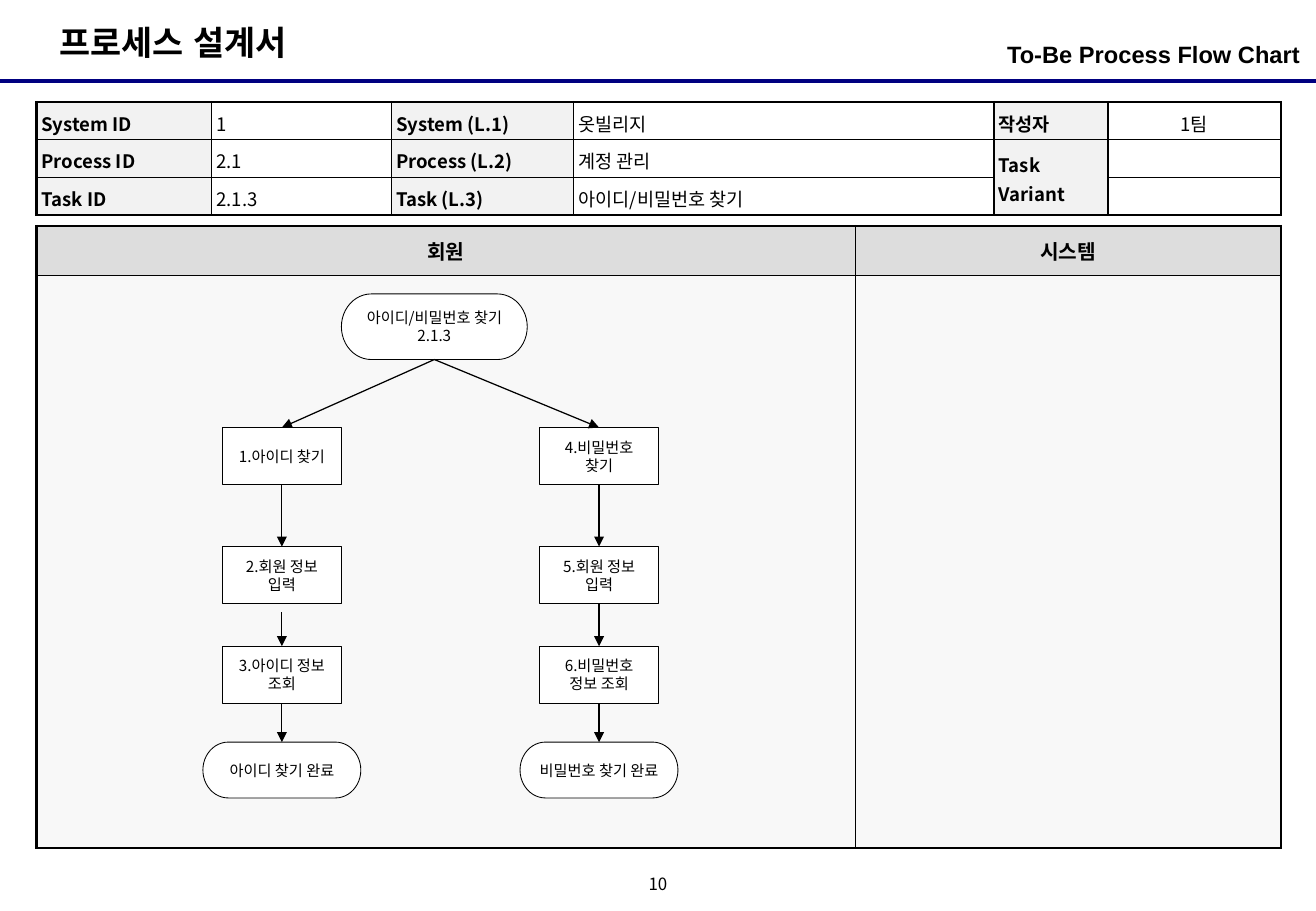
from lxml.etree import SubElement
from pptx import Presentation
from pptx.dml.color import RGBColor
from pptx.enum.shapes import MSO_CONNECTOR, MSO_SHAPE
from pptx.enum.text import MSO_ANCHOR, PP_ALIGN
from pptx.oxml.ns import qn
from pptx.util import Inches, Pt

COLORS = {
    "ink": "000000", "rule": "000080", "paper": "FFFFFF",
    "label": "F2F2F2", "head": "DDDDDD", "lane": "F8F8F8",
}
NOTO = "Noto Sans CJK KR"
LEFT, CENTER, RIGHT = PP_ALIGN.LEFT, PP_ALIGN.CENTER, PP_ALIGN.RIGHT
TOP, MIDDLE = MSO_ANCHOR.TOP, MSO_ANCHOR.MIDDLE


def color(name):
    return RGBColor.from_string(COLORS[name])


class Sheet:
    """Holds the style and the current slide."""

    def __init__(self, slide):
        self.slide = slide
        self.shapes = slide.shapes

    def label(self, frame, text, size, font=NOTO, bold=False, align=LEFT, space=None):
        frame.text = text
        for para in frame.paragraphs:
            para.alignment = align
            if space:
                para.line_spacing = space
            for run in para.runs:
                run.font.size, run.font.bold, run.font.name = Pt(size), bold, font
                run.font.color.rgb = color("ink")
                SubElement(run.font._element, qn("a:ea"), typeface=font)
            if not para.runs:
                SubElement(para._p, qn("a:endParaRPr"), sz=str(size * 100))

    def inset(self, item, side, top):
        item.margin_left = item.margin_right = Inches(side)
        item.margin_top = item.margin_bottom = Inches(top)

    def text(self, box, text, size, pad=(0.1, 0.05), anchor=TOP, wrap=True, **style):
        frame = self.shapes.add_textbox(*map(Inches, box)).text_frame
        frame.word_wrap = wrap
        frame.vertical_anchor = anchor
        self.inset(frame, *pad)
        self.label(frame, text, size, **style)

    def node(self, kind, mid, top, wide, high, text, pad):
        node = self.shapes.add_shape(
            kind, Inches(mid - wide / 2), Inches(top), Inches(wide), Inches(high))
        node.shadow.inherit = False
        node.fill.solid()
        node.fill.fore_color.rgb = color("paper")
        node.line.color.rgb = color("ink")
        node.line.width = Pt(0.5)
        frame = node.text_frame
        frame.word_wrap = True
        frame.vertical_anchor = MIDDLE
        self.inset(frame, *pad)
        self.label(frame, text, 9, align=CENTER)
        return node

    def step(self, mid, top, text):
        return self.node(MSO_SHAPE.RECTANGLE, mid, top, 0.98, 0.47, text, (0.1, 0.05))

    def end(self, mid, top, wide, high, text):
        return self.node(MSO_SHAPE.FLOWCHART_TERMINATOR, mid, top, wide, high, text, (0.1, 0.1))

    def line(self, start, stop, tint="ink", width=0.75):
        line = self.shapes.add_connector(
            MSO_CONNECTOR.STRAIGHT, *map(Inches, (*start, *stop)))
        line.line.color.rgb = color(tint)
        line.line.width = Pt(width)
        SubElement(line._element.spPr, qn("a:effectLst"))
        return line

    def arrow(self, first, last, start=None):
        """Joins bottom to top; a given start point leaves the tail free."""
        line = self.line(start or (0, 0), (0, 0))
        if not start:
            line.begin_connect(first, 2)
        line.end_connect(last, 0)
        SubElement(line._element.spPr.find(qn("a:ln")), qn("a:tailEnd"), type="triangle")

    def border(self, cell, sides):
        props = cell._tc.get_or_add_tcPr()
        for tag, width in sides.items():
            edge = SubElement(props, qn("a:" + tag), w=str(Pt(width)))
            fill = SubElement(edge, qn("a:solidFill"))
            SubElement(fill, qn("a:srgbClr"), val=COLORS["ink"])

    def table(self, left, top, cols, rows):
        wide, high = sum(cols), sum(rows)
        table = self.shapes.add_table(
            len(rows), len(cols), Inches(left), Inches(top), Inches(wide), Inches(high)).table
        table.first_row = table.horz_banding = False
        for col, size in zip(table.columns, cols):
            col.width = Inches(size)
        for row, size in zip(table.rows, rows):
            row.height = Inches(size)
        return table

    def cell(self, table, row, col, text, size, tint=None, inner=1.0, pad=(0.04, 0.04),
             anchor=MIDDLE, **style):
        cell = table.cell(row, col)
        low = row + (cell.span_height if cell.is_merge_origin else 1)
        outer = {
            "lnL": col == 0, "lnR": col == len(table.columns) - 1,
            "lnT": row == 0, "lnB": low == len(table.rows),
        }
        self.border(cell, {tag: 1.5 if out else inner for tag, out in outer.items()})
        if tint:
            cell.fill.solid()
            cell.fill.fore_color.rgb = color(tint)
        else:
            cell.fill.background()
        cell.vertical_anchor = anchor
        self.inset(cell, *pad)
        self.label(cell.text_frame, text, size, **style)


def main():
    deck = Presentation()
    deck.slide_width, deck.slide_height = Inches(10.83), Inches(7.5)
    sheet = Sheet(deck.slides.add_slide(deck.slide_layouts[6]))

    # Header and page number
    sheet.line((0, 0.67), (10.83, 0.67), "rule", 2.25)
    sheet.text((0.39, 0.13, 2.26, 0.44), "프로세스 설계서", 20, wrap=False, font="Arial", bold=True)
    sheet.text((7.39, 0.28, 3.31, 0.39), "To-Be Process Flow Chart", 14,
               pad=(0, 0.05), font="Arial", bold=True, align=RIGHT)
    sheet.text((5.25, 7.17, 0.33, 0.25), "10", 10, pad=(0, 0), anchor=MIDDLE,
               align=CENTER, space=0.8)

    # Swimlanes
    lanes = sheet.table(0.3, 1.86, [6.74, 3.5], [0.41, 4.71])
    for col, name in enumerate(["회원", "시스템"]):
        sheet.cell(lanes, 0, col, name, 12, "head", 0.75, (0.1, 0.05), bold=True, align=CENTER)
        sheet.cell(lanes, 1, col, "", 12, "lane", 0.75, (0.1, 0.05))

    # Process details
    facts = [
        ["System ID", "1", "System (L.1)", "옷빌리지", "작성자", "1팀"],
        ["Process ID", "2.1", "Process (L.2)", "계정 관리", "Task Variant", ""],
        ["Task ID", "2.1.3", "Task (L.3)", "아이디/비밀번호 찾기", "", ""],
    ]
    info = sheet.table(0.3, 0.84, [1.44, 1.48, 1.5, 3.46, 0.94, 1.42], [0.31] * 3)
    info.cell(1, 4).merge(info.cell(2, 4))
    for row, texts in enumerate(facts):
        for col, text in enumerate(texts):
            head = col % 2 == 0
            sheet.cell(info, row, col, text, 11, "label" if head else None,
                       anchor=MIDDLE if col > 3 else TOP, bold=head,
                       align=CENTER if col == 5 else LEFT, space=1.1)

    # Flow: one start, two branches
    start = sheet.end(3.575, 2.42, 1.53, 0.54, "아이디/비밀번호 찾기\v2.1.3")
    flows = [
        (2.32, ["1.아이디 찾기", "2.회원 정보 입력", "3.아이디 정보 조회"], "아이디 찾기 완료", (2.32, 5.04)),
        (4.93, ["4.비밀번호 찾기", "5.회원 정보 입력", "6.비밀번호 정보 조회"], "비밀번호 찾기 완료", None),
    ]
    for mid, steps, done, gap in flows:
        chain = [start]
        chain += [sheet.step(mid, top, text) for top, text in zip([3.52, 4.5, 5.32], steps)]
        chain.append(sheet.end(mid, 6.11, 1.3, 0.46, done))
        for num, (first, last) in enumerate(zip(chain, chain[1:])):
            sheet.arrow(first, last, gap if num == 2 else None)

    deck.save("out.pptx")


if __name__ == "__main__":
    main()
